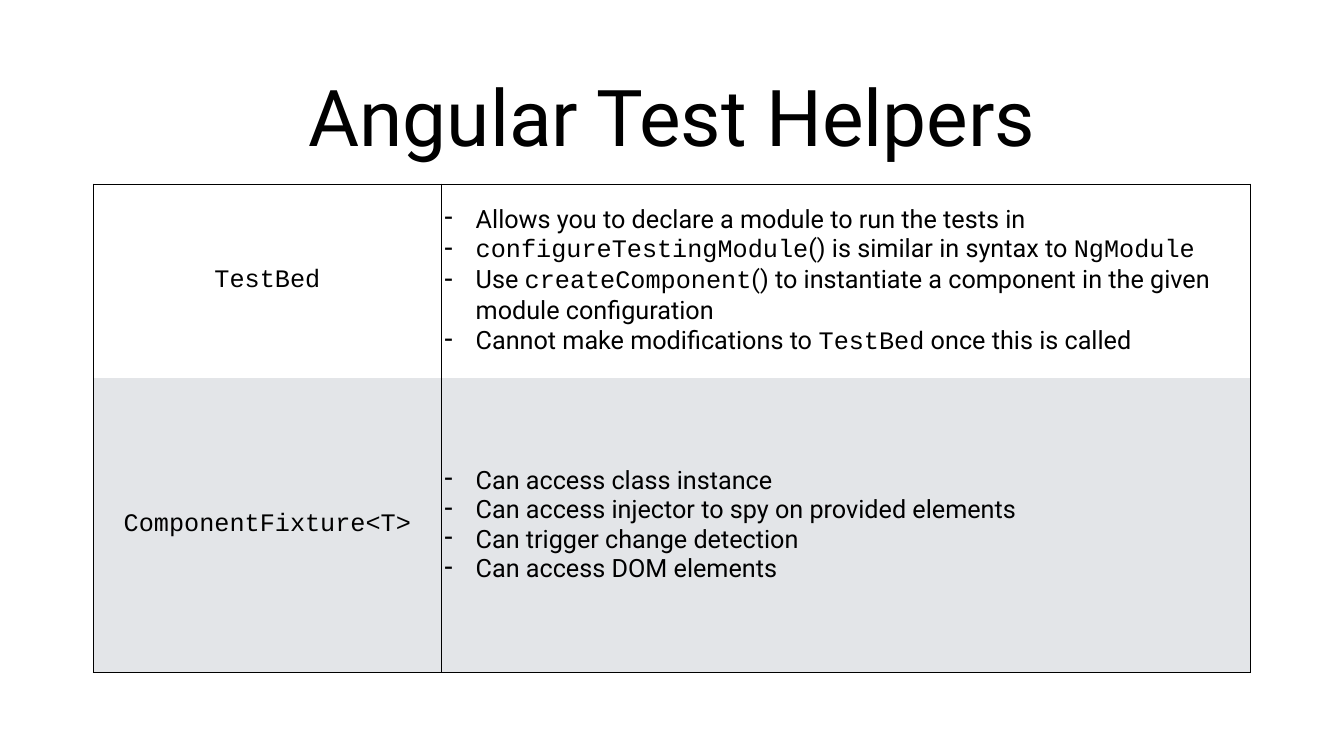
from lxml import etree
from pptx import Presentation
from pptx import util as u
from pptx.dml.color import RGBColor
from pptx.enum import text as t
from pptx.oxml.ns import qn

SANS, MONO = "Roboto", "Courier New"
BLACK, WHITE, GREY = "000000", "FFFFFF", "E3E5E8"
INSET = 0.06
INDENT = 0.62

# Backticks mark code, which is set in the monospaced font
HELPERS = [
    ("`TestBed`", [
        "Allows you to declare a module to run the tests in",
        "`configureTestingModule`() is similar in syntax to `NgModule`",
        "Use `createComponent`() to instantiate a component in the given module configuration",
        "Cannot make modifications to `TestBed` once this is called",
    ], WHITE),
    ("`ComponentFixture<T>`", [
        "Can access class instance",
        "Can access injector to spy on provided elements",
        "Can trigger change detection",
        "Can access DOM elements",
    ], GREY),
]


def colour(value):
    return RGBColor.from_string(value)


def add_dash(para):
    props = para._p.get_or_add_pPr()
    props.set("marL", str(u.Inches(INDENT)))
    props.set("indent", str(u.Inches(-INDENT)))
    etree.SubElement(props, qn("a:buChar")).set("char", "-")


def write(frame, lines, size=36, align=t.PP_ALIGN.LEFT, dashes=False):
    frame.word_wrap = True
    for index, line in enumerate(lines):
        para = frame.add_paragraph() if index else frame.paragraphs[0]
        para.alignment = align
        if dashes:
            add_dash(para)
        for part, words in enumerate(line.split("`")):
            if words:
                span = para.add_run()
                span.text = words
                span.font.size = u.Pt(size)
                span.font.name = MONO if part % 2 else SANS
                span.font.color.rgb = colour(BLACK)


def set_insets(item):
    item.margin_left = item.margin_right = u.Inches(INSET)
    item.margin_top = item.margin_bottom = u.Inches(INSET)
    item.vertical_anchor = t.MSO_ANCHOR.MIDDLE


def set_borders(cell, sides):
    props = cell._tc.get_or_add_tcPr()
    for side in "LRTB":
        line = etree.SubElement(props, qn(f"a:ln{side}"))
        if side in sides:
            line.set("w", str(u.Pt(1)))
            fill = etree.SubElement(line, qn("a:solidFill"))
            etree.SubElement(fill, qn("a:srgbClr")).set("val", BLACK)
        else:
            etree.SubElement(line, qn("a:noFill"))


def add_title(page, left, top, width, height, words):
    box = page.shapes.add_textbox(*map(u.Inches, (left, top, width, height)))
    set_insets(box.text_frame)
    write(box.text_frame, [words], size=112, align=t.PP_ALIGN.CENTER)


def add_helper_table(page, left, top, width, height):
    table = page.shapes.add_table(
        len(HELPERS), 2, *map(u.Inches, (left, top, width, height))).table
    table.first_row = table.horz_banding = False

    # Name column, then the rest for the notes
    name_width, first_height = 6.91, 3.85
    for column, size in zip(table.columns, (name_width, width - name_width)):
        column.width = u.Inches(size)
    for row, size in zip(table.rows, (first_height, height - first_height)):
        row.height = u.Inches(size)

    for index, (name, notes, shade) in enumerate(HELPERS):
        # The frame has no line between the rows
        sides = "LR" + ("B" if index == len(HELPERS) - 1 else "")
        sides += "T" if index == 0 else ""
        name_cell, notes_cell = table.rows[index].cells
        for cell in (name_cell, notes_cell):
            set_insets(cell)
            set_borders(cell, sides)
            cell.fill.solid()
            cell.fill.fore_color.rgb = colour(shade)
        write(name_cell.text_frame, [name], align=t.PP_ALIGN.CENTER)
        write(notes_cell.text_frame, notes, dashes=True)


def main():
    deck = Presentation()
    deck.slide_width, deck.slide_height = u.Inches(26.67), u.Inches(15)
    page = deck.slides.add_slide(deck.slide_layouts[6])
    left, width = 1.85, 22.97
    add_title(page, left, 1.04, width, 2.5, "Angular Test Helpers")
    add_helper_table(page, left, 3.65, width, 9.68)
    deck.save("out.pptx")


if __name__ == "__main__":
    main()
